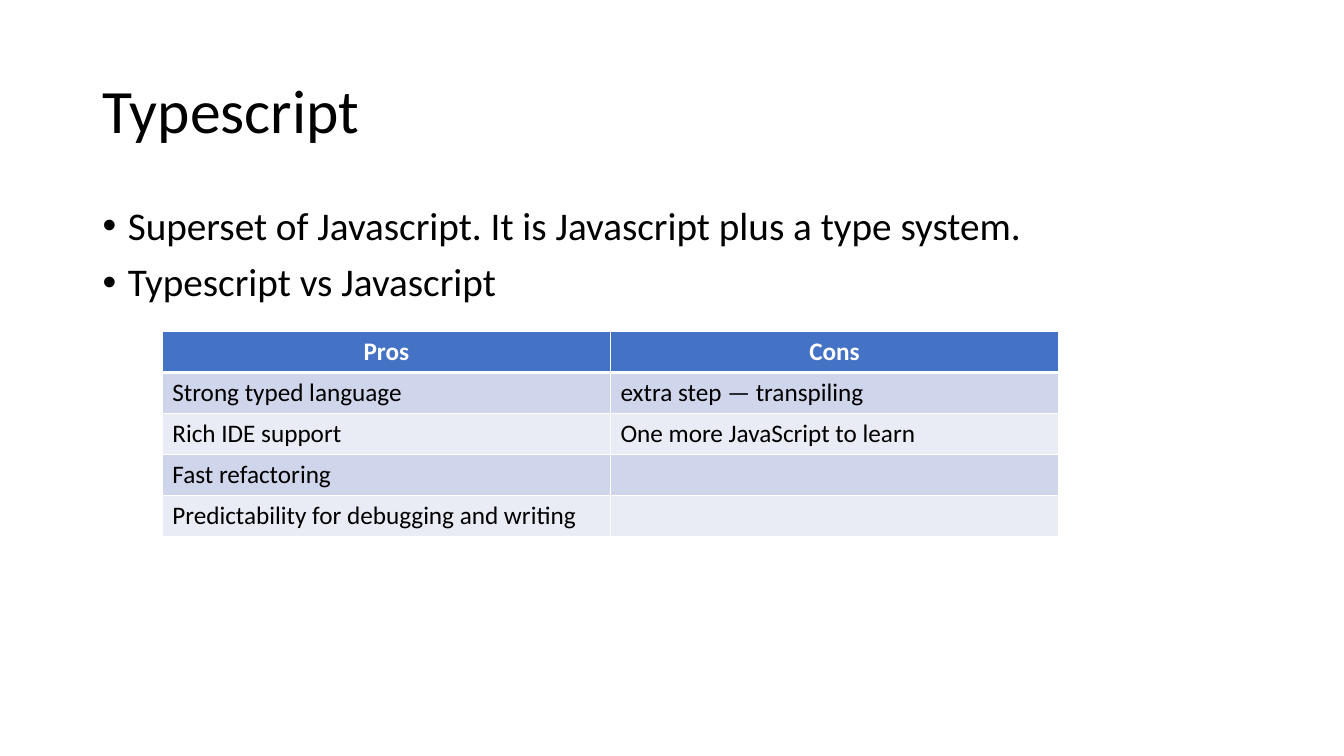
from lxml.etree import SubElement
from pptx import Presentation
from pptx.dml.color import RGBColor
from pptx.enum.text import MSO_ANCHOR as Anchor, PP_ALIGN as Align
from pptx.oxml.ns import qn
from pptx.util import Inches, Pt

FONT = "Calibri"
COLORS = {
    "text": "000000",
    "white": "FFFFFF",
    "header": "4472C4",
    "odd_row": "CFD5EA",
    "even_row": "E9EBF5",
}
TITLE = "Typescript"
POINTS = [
    "Superset of Javascript. It is Javascript plus a type system.",
    "Typescript vs Javascript",
]
COMPARISON = [
    ("Pros", "Cons"),
    ("Strong typed language", "extra step — transpiling"),
    ("Rich IDE support", "One more JavaScript to learn"),
    ("Fast refactoring", ""),
    ("Predictability for debugging and writing", ""),
]


def color(name):
    return RGBColor.from_string(COLORS[name])


def style_runs(paragraph, size, color_name="text", bold=False):
    for run in paragraph.runs:
        run.font.name = FONT
        run.font.size = Pt(size)
        run.font.bold = bold
        run.font.color.rgb = color(color_name)


def add_text_frame(slide, box, anchor):
    frame = slide.shapes.add_textbox(*map(Inches, box)).text_frame
    frame.word_wrap = True
    frame.vertical_anchor = anchor
    return frame


def add_title(slide, box):
    frame = add_text_frame(slide, box, Anchor.MIDDLE)
    frame.text = TITLE
    heading = frame.paragraphs[0]
    heading.line_spacing = 0.9
    style_runs(heading, 44)


def add_points(slide, box):
    frame = add_text_frame(slide, box, Anchor.TOP)
    frame.text = "\n".join(POINTS)
    for point in frame.paragraphs:
        point.line_spacing = 0.9
        point.space_before = Pt(10)
        style_runs(point, 28)
        properties = point._p.get_or_add_pPr()
        properties.set("marL", str(Inches(0.25)))
        properties.set("indent", str(Inches(-0.25)))
        SubElement(properties, qn("a:buFont"), typeface="Arial")
        SubElement(properties, qn("a:buChar"), char="•")


def add_borders(cell, widths):
    properties = cell._tc.get_or_add_tcPr()
    for side, width in widths.items():
        line = SubElement(properties, qn(f"a:ln{side}"), w=str(Pt(width)))
        fill = SubElement(line, qn("a:solidFill"))
        SubElement(fill, qn("a:srgbClr"), val=COLORS["white"])


def add_comparison(slide, box):
    rows, columns = len(COMPARISON), len(COMPARISON[0])
    table = slide.shapes.add_table(rows, columns, *map(Inches, box)).table
    for row, entries in enumerate(COMPARISON):
        is_header = row == 0
        fill_name = "header" if is_header else "odd_row" if row % 2 else "even_row"
        for column, entry in enumerate(entries):
            cell = table.cell(row, column)
            add_borders(cell, {
                "L": 1,
                "R": 1,
                "T": 3 if row == 1 else 1,
                "B": 3 if is_header else 1,
            })
            cell.fill.solid()
            cell.fill.fore_color.rgb = color(fill_name)
            cell.text_frame.text = entry
            label = cell.text_frame.paragraphs[0]
            label.alignment = Align.CENTER if is_header else Align.LEFT
            style_runs(label, 18, "white" if is_header else "text", is_header)


def main():
    deck = Presentation()
    deck.slide_width = Inches(13.33)
    deck.slide_height = Inches(7.5)
    slide = deck.slides.add_slide(deck.slide_layouts[6])
    add_title(slide, (0.92, 0.4, 11.5, 1.45))
    add_points(slide, (0.92, 2, 11.5, 4.76))
    add_comparison(slide, (1.61, 3.29, 8.89, 2.03))
    deck.save("out.pptx")


if __name__ == "__main__":
    main()
